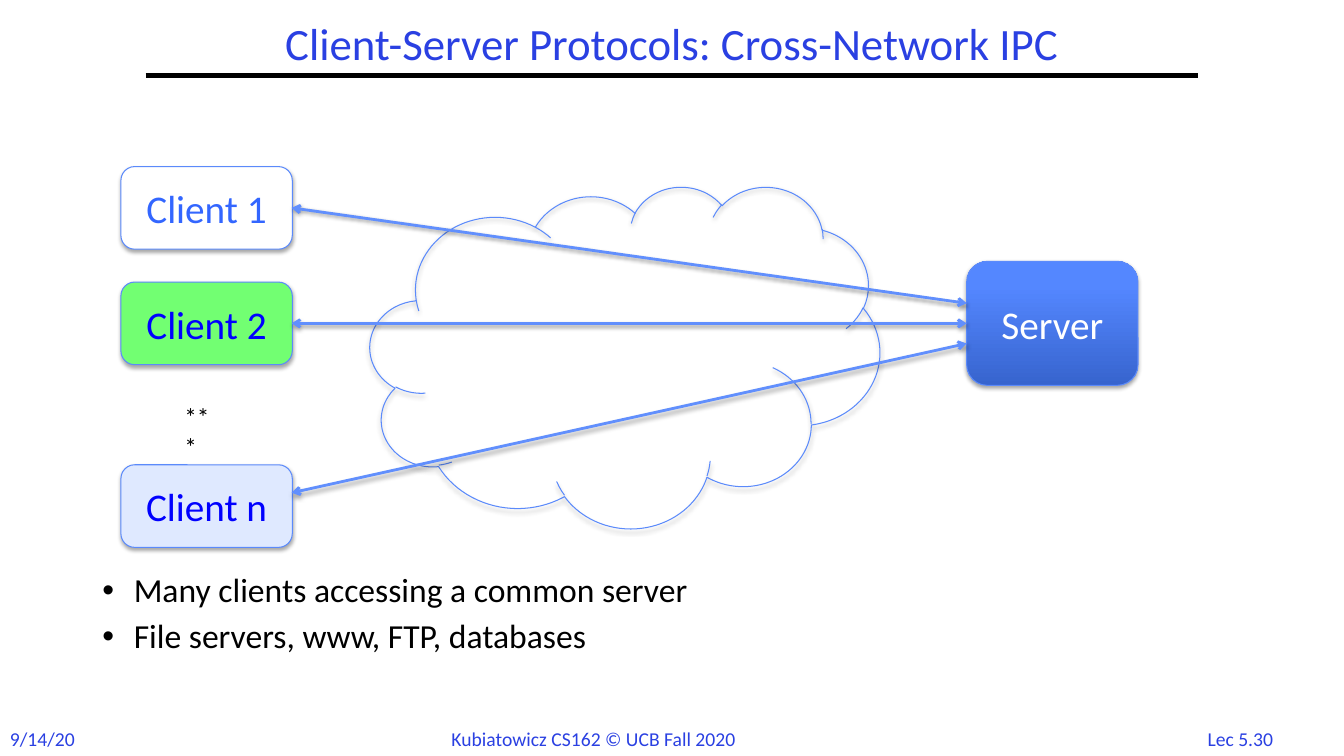
from lxml import etree
from pptx import Presentation
from pptx.dml.color import RGBColor
from pptx.enum import shapes, text
from pptx.oxml import ns
from pptx.util import Pt

COLORS = {
    "heading": "2A40E2", "ink": "000000", "outline": "5B8AFB", "link": "618FFD",
    "server_low": "3764CE", "server_high": "5487FF", "white": "FFFFFF",
    "client_blue": "3366FF", "deep_blue": "0000FF", "green": "72FF72", "pale": "DFE9FF",
}
CLIENTS = [
    ("Client 1", 119, "white", "client_blue", 29.5),
    ("Client 2", 201.5, "green", "deep_blue", 29.5),
    ("Client n", 332, "pale", "deep_blue", 20),
]
BULLETS = ["Many clients accessing a common server", "File servers, www, FTP, databases"]


def rgb(name):
    """Return the named palette colour."""
    return RGBColor.from_string(COLORS[name])


def child(parent, tag, **attributes):
    """Append a drawing element to a parent."""
    return etree.SubElement(parent, ns.qn(tag), attributes)


def style(paragraph, size, color):
    """Set the font of every run in a paragraph."""
    for run in paragraph.runs:
        run.font.name = "Calibri"
        run.font.size = Pt(size)
        run.font.color.rgb = rgb(color)


def cast_shadow(part, alpha, distance):
    """Give a shape or connector a soft shadow straight below."""
    effects = child(part._element.spPr, "a:effectLst")
    shadow = child(effects, "a:outerShdw", blurRad=str(Pt(3.1)), dist=str(Pt(distance)),
                   dir="5400000", rotWithShape="0")
    shade = child(shadow, "a:srgbClr", val=COLORS["ink"])
    child(shade, "a:alpha", val=str(alpha * 1000))


def add_label(slide, box, words, size, color, wrap=True):
    """Add a one-paragraph text box."""
    frame = slide.shapes.add_textbox(*map(Pt, box)).text_frame
    frame.word_wrap = wrap
    frame.text = words
    style(frame.paragraphs[0], size, color)
    return frame


def add_heading(slide, box):
    """Place the title and the rule along its lower edge."""
    left, top, width, height = box
    title = slide.shapes.title
    title.left, title.top, title.width, title.height = map(Pt, box)
    frame = title.text_frame
    frame.text = "Client-Server Protocols: Cross-Network IPC"
    frame.vertical_anchor = text.MSO_ANCHOR.MIDDLE
    heading = frame.paragraphs[0]
    heading.alignment = text.PP_ALIGN.CENTER
    heading.line_spacing = 0.9
    style(heading, 32, "heading")
    rule = slide.shapes.add_connector(shapes.MSO_CONNECTOR.STRAIGHT, Pt(left), Pt(top + height),
                                      Pt(left + width), Pt(top + height))
    rule.line.color.rgb = rgb("ink")
    rule.line.width = Pt(3)
    child(rule._element.spPr, "a:effectLst")


def add_node(slide, kind, box, words="", fill=None, color="white"):
    """Add an outlined, shadowed diagram shape with an optional fill and label."""
    node = slide.shapes.add_shape(kind, *map(Pt, box))
    if fill:
        node.fill.solid()
        node.fill.fore_color.rgb = rgb(fill)
    else:
        node.fill.background()
    node.line.color.rgb = rgb(COLORS and "outline")
    node.line.width = Pt(0.75)
    cast_shadow(node, 35, 1.8)
    if words:
        frame = node.text_frame
        frame.text = words
        frame.vertical_anchor = text.MSO_ANCHOR.MIDDLE
        frame.paragraphs[0].alignment = text.PP_ALIGN.CENTER
        style(frame.paragraphs[0], 28, color)
    return node


def add_link(slide, start, end):
    """Draw a double-headed arrow between two points."""
    link = slide.shapes.add_connector(shapes.MSO_CONNECTOR.STRAIGHT, *map(Pt, start + end))
    link.line.color.rgb = rgb("link")
    link.line.width = Pt(2)
    stroke = link.line._get_or_add_ln()
    for tip in ("a:headEnd", "a:tailEnd"):
        child(stroke, tip, type="arrow")
    cast_shadow(link, 38, 1.6)


def add_diagram(slide, box):
    """Draw the clients, the network cloud, the server and their links."""
    left, top, width, height = box
    node_width, client_height, server_height = 122.4, 59, 88.6
    server_left = left + width - node_width
    server_middle = top + 112
    rounded = shapes.MSO_SHAPE.ROUNDED_RECTANGLE
    add_node(slide, shapes.MSO_SHAPE.CLOUD, (left + 178, top + 14, 364, 244))
    server = add_node(slide, rounded, (server_left, server_middle - server_height / 2,
                                       node_width, server_height), "Server", "server_high")
    server.fill.gradient()
    server.fill.gradient_angle = 90
    stops = zip(server.fill.gradient_stops, (0, 0.8), ("server_low", "server_high"))
    for stop, position, color in stops:
        stop.position = position
        stop.color.rgb = rgb(color)
    for name, client_top, fill, color, _ in CLIENTS:
        add_node(slide, rounded, (left, client_top, node_width, client_height), name, fill, color)
    add_label(slide, (left + 38.2, top + 164, 37.4, 51), "***", 18, "ink")
    for index, (_, client_top, _, _, port) in enumerate(CLIENTS):
        add_link(slide, (left + node_width - 0.5, client_top + port),
                 (server_left, server_middle + (index - 1) * 14.4))


def add_bullets(slide, box):
    """Write the bulleted remarks."""
    frame = slide.shapes.add_textbox(*map(Pt, box)).text_frame
    frame.word_wrap = True
    frame.text = "\n".join(BULLETS)
    for index, remark in enumerate(frame.paragraphs):
        remark.line_spacing = 0.9
        remark.space_before = Pt(7.2 if index else 0)
        properties = remark._p.get_or_add_pPr()
        properties.set("marL", str(Pt(22.5)))
        properties.set("indent", str(Pt(-22.5)))
        child(properties, "a:buFont", typeface="Arial")
        child(properties, "a:buChar", char="•")
        style(remark, 24, "ink")


def add_footer(slide, box):
    """Write the date, course and lecture number along the bottom."""
    left, top, width, height = box
    add_label(slide, (left, top, 61, height), "9/14/20", 14, "heading", False)
    add_label(slide, (left + 315.4, top, 247, height), "Kubiatowicz CS162 © UCB Fall 2020",
              14, "heading", False)
    lecture = add_label(slide, (left + width - 70, top, 70, height), "Lec 5.30",
                        14, "heading", False)
    lecture.paragraphs[0].alignment = text.PP_ALIGN.CENTER


def main():
    """Build and save the slide."""
    deck = Presentation()
    deck.slide_width, deck.slide_height = Pt(960), Pt(540)
    slide = deck.slides.add_slide(deck.slide_layouts[5])
    add_footer(slide, (0, 515.5, 921, 24.5))
    add_heading(slide, (104, 12, 752, 42))
    add_bullets(slide, (66, 406, 828, 81))
    add_diagram(slide, (86.4, 119, 726.5, 272))
    deck.save("out.pptx")


if __name__ == "__main__":
    main()
